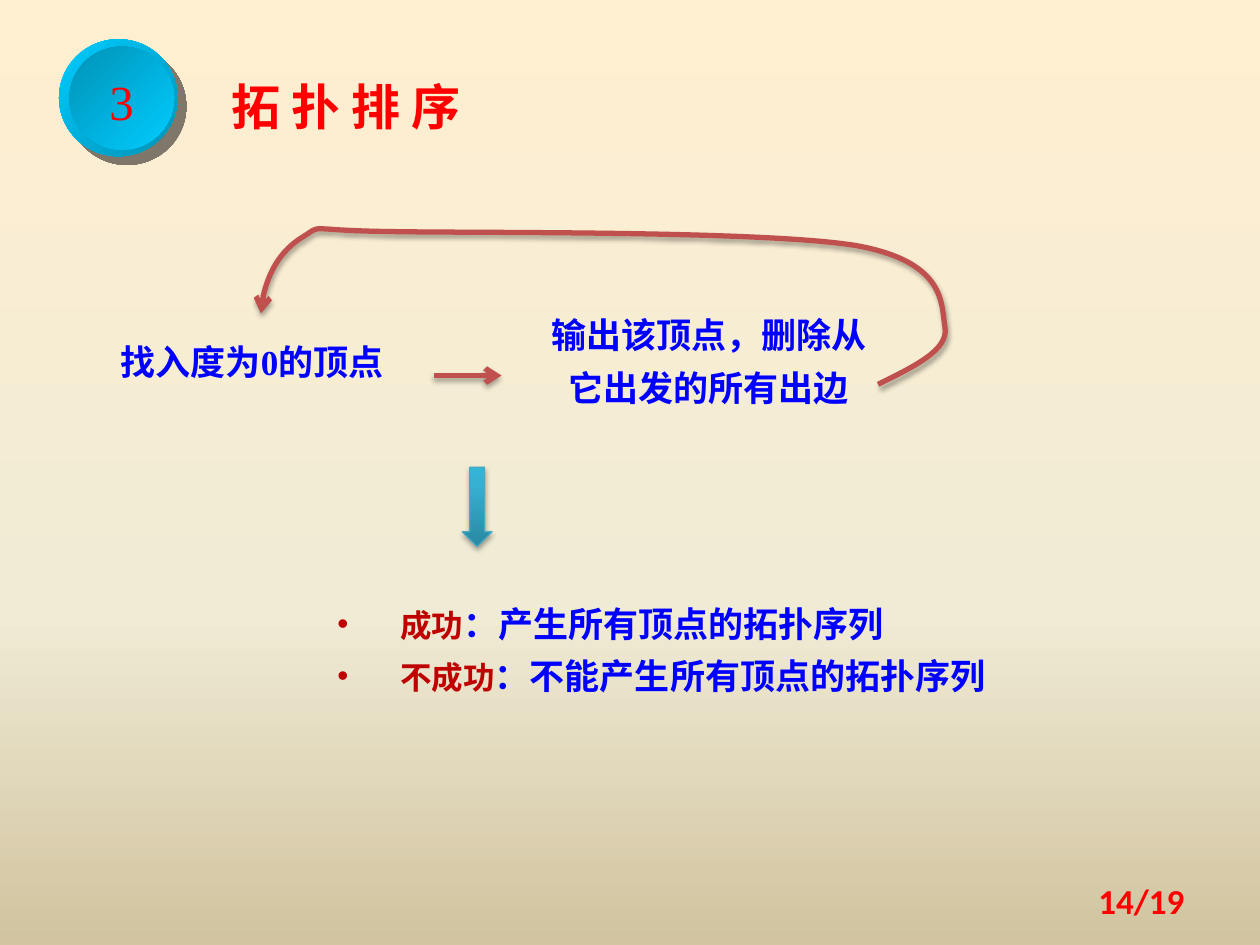
from copy import deepcopy

from lxml import etree
from pptx import Presentation
from pptx.dml.color import RGBColor
from pptx.enum import shapes, text
from pptx.oxml import ns
from pptx.util import Cm, Pt

COLORS = {
    "red": "FF0000", "dark red": "C00000", "blue": "0000FF",
    "arrow": "C0504D", "down arrow line": "46AAC5",
    "cyan": "00CCFF", "teal": "0092B6",
}
RGB = {name: RGBColor.from_string(value) for name, value in COLORS.items()}
CJK_FONT = "Noto Sans CJK SC"
SERIF = "Times New Roman"


def set_gradient(fill, element, stops, angle):
    """Fill with (position, hex) stops; the angle runs counterclockwise."""
    fill.gradient()
    fill.gradient_angle = angle
    stop_list = element.find(".//" + ns.qn("a:gsLst"))
    while len(stop_list) < len(stops):
        stop_list.append(deepcopy(stop_list[-1]))
    for stop, (position, color) in zip(fill.gradient_stops, stops):
        stop.position = position
        stop.color.rgb = RGBColor.from_string(color)


def add_shadow(shape, color, opacity, blur, distance, angle):
    properties = shape._element.spPr
    for old in properties.findall(ns.qn("a:effectLst")):
        properties.remove(old)
    effects = etree.SubElement(properties, ns.qn("a:effectLst"))
    shadow = etree.SubElement(
        effects, ns.qn("a:outerShdw"), blurRad=str(Pt(blur)),
        dist=str(Pt(distance)), dir=str(angle * 60000), rotWithShape="0")
    color_node = etree.SubElement(shadow, ns.qn("a:srgbClr"), val=color)
    etree.SubElement(color_node, ns.qn("a:alpha"), val=str(opacity * 1000))


presentation = Presentation()
presentation.slide_width, presentation.slide_height = Cm(25.4), Cm(19.05)
slide = presentation.slides.add_slide(presentation.slide_layouts[5])
set_gradient(slide.background.fill, slide._element,
             [(0, "FFEFD1"), (0.65, "F0EBD5"), (1, "D1C39F")], 270)

# Numbered badge: a rim and a face with the gradient reversed
badge = [
    ((1.19, 0.79, 2.39, 2.36), ("cyan", "teal")),
    ((1.4, 0.94, 2.11, 2.08), ("teal", "cyan")),
]
for box, (first, last) in badge:
    circle = slide.shapes.add_shape(
        shapes.MSO_SHAPE.OVAL, *[Cm(value) for value in box])
    circle.shadow.inherit = False
    set_gradient(circle.fill, circle._element,
                 [(0, COLORS[first]), (1, COLORS[last])], 315)
    circle.line.fill.background()
    if first == "cyan":
        add_shadow(circle, "020202", 50, 0, 7.1, 45)
number_circle = circle
number_circle.text_frame.word_wrap = False

# Texts: box, alignment, line spacing, size, font, colour, bold
LEFT, CENTER, RIGHT = (text.PP_ALIGN.LEFT, text.PP_ALIGN.CENTER,
                       text.PP_ALIGN.RIGHT)
title = slide.shapes.title
title.left, title.top, title.width, title.height = (
    Cm(3.96), Cm(1.3), Cm(6.35), Cm(1.47))
find_step, output_step, page_number = [
    slide.shapes.add_textbox(*[Cm(value) for value in box])
    for box in [(2.18, 6.53, 6.35, 1.32), (10.52, 5.99, 7.54, 2.39),
                (18.21, 17.65, 5.92, 1.02)]]
labels = [
    (number_circle, "3", CENTER, 1.1, 28, SERIF, "red", False),
    (title, "拓 扑 排 序", LEFT, 1.1, 28, CJK_FONT, "red", True),
    (find_step, "找入度为0的顶点", LEFT, Pt(30), 20, SERIF, "blue", True),
    (output_step, "输出该顶点，删除从它出发的所有出边", CENTER, Pt(30), 20, SERIF,
     "blue", True),
    (page_number, "14/19", RIGHT, 1.0, 20, "Calibri", "red", True),
]
for shape, words, alignment, spacing, size, font, color, bold in labels:
    frame = shape.text_frame
    frame.text = words
    if shape is not number_circle:
        frame.word_wrap = True
    paragraph = frame.paragraphs[0]
    paragraph.alignment = alignment
    paragraph.line_spacing = spacing
    run = paragraph.runs[0]
    run.font.size, run.font.name, run.font.bold = Pt(size), font, bold
    run.font.color.rgb = RGB[color]
    etree.SubElement(run.font._element, ns.qn("a:ea"), typeface=CJK_FONT)
title.text_frame.margin_left = Cm(0.7)
title.text_frame.vertical_anchor = text.MSO_ANCHOR.TOP
page_number.text_frame.vertical_anchor = text.MSO_ANCHOR.MIDDLE

# Step arrow and the loop that returns to the first step
step_arrow = slide.shapes.add_connector(
    shapes.MSO_CONNECTOR.STRAIGHT, Cm(8.74), Cm(7.57), Cm(10.11), Cm(7.57))

loop_start = (17.7, 7.75)
loop_points = [
    (18.42, 7.39), (19.13, 7.06), (19.05, 6.6),
    (18.97, 6.15), (19.1, 5.28), (17.25, 4.95),
    (15.39, 4.65), (9.8, 4.7), (7.95, 4.67),
    (6.07, 4.65), (6.55, 4.5), (6.1, 4.78),
    (5.66, 5.05), (5.28, 5.69), (5.26, 6.32),
]
builder = slide.shapes.build_freeform(*[Cm(value) for value in loop_start])
builder.add_line_segments([(Cm(x), Cm(y)) for x, y in loop_points], close=False)
loop_arrow = builder.convert_to_shape()
loop_arrow.fill.background()
# Every three points become the controls and the end of one Bezier curve
outline = loop_arrow._element.find(".//" + ns.qn("a:path"))
segments = outline.findall(ns.qn("a:lnTo"))
for index in range(0, len(segments), 3):
    curve = etree.SubElement(outline, ns.qn("a:cubicBezTo"))
    for segment in segments[index:index + 3]:
        curve.append(segment[0])
        outline.remove(segment)

for arrow in (step_arrow, loop_arrow):
    arrow.line.color.rgb = RGB["arrow"]
    arrow.line.width = Pt(3)
    etree.SubElement(arrow.line._get_or_add_ln(), ns.qn("a:tailEnd"), type="arrow")
    add_shadow(arrow, "000000", 35, 3.1, 1.8, 90)

# Outcome
down_arrow = slide.shapes.add_shape(
    shapes.MSO_SHAPE.DOWN_ARROW, Cm(9.32), Cm(9.42), Cm(0.6), Cm(1.6))
set_gradient(down_arrow.fill, down_arrow._element,
             [(0, "2A88A2"), (0.8, "37B1D2"), (1, "34B4D6")], 90)
down_arrow.line.color.rgb = RGB["down arrow line"]
down_arrow.line.width = Pt(0.75)
add_shadow(down_arrow, "000000", 35, 3.1, 1.8, 90)

outcomes = slide.shapes.add_textbox(Cm(6.55), Cm(11.81), Cm(14.48), Cm(2.39))
frame = outcomes.text_frame
frame.word_wrap = True
results = [("成功", "：产生所有顶点的拓扑序列"),
           ("不成功", "：不能产生所有顶点的拓扑序列")]
for index, parts in enumerate(results):
    paragraph = frame.add_paragraph() if index else frame.paragraphs[0]
    paragraph.line_spacing = Pt(30)
    properties = paragraph._p.get_or_add_pPr()
    properties.set("marL", str(Cm(1.27)))
    properties.set("indent", str(-Cm(1.27)))
    etree.SubElement(properties, ns.qn("a:buFont"), typeface="Arial")
    etree.SubElement(properties, ns.qn("a:buChar"), char="•")
    styles = [(18, CJK_FONT, "dark red"), (20, SERIF, "blue")]
    for words, (size, font, color) in zip(parts, styles):
        run = paragraph.add_run()
        run.text = words
        run.font.size, run.font.name, run.font.bold = Pt(size), font, True
        run.font.color.rgb = RGB[color]
        etree.SubElement(run.font._element, ns.qn("a:ea"), typeface=CJK_FONT)

presentation.save("out.pptx")
